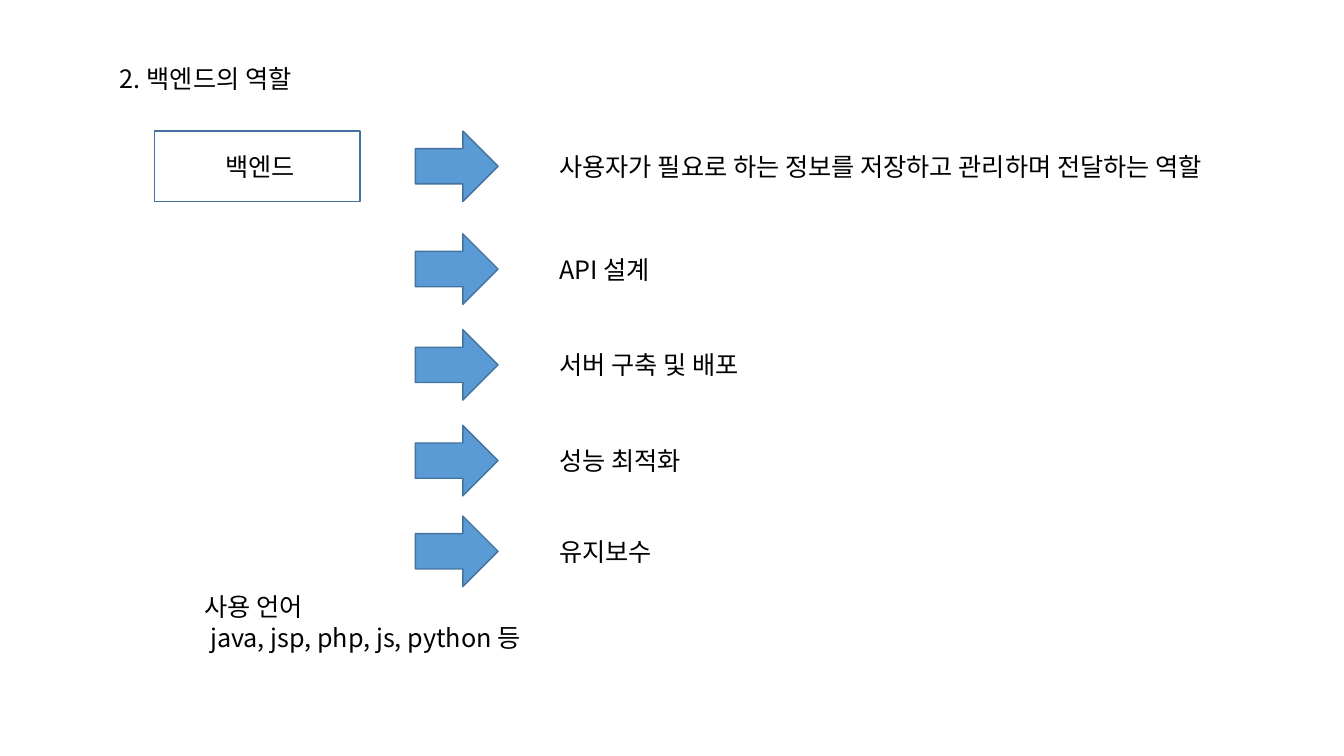
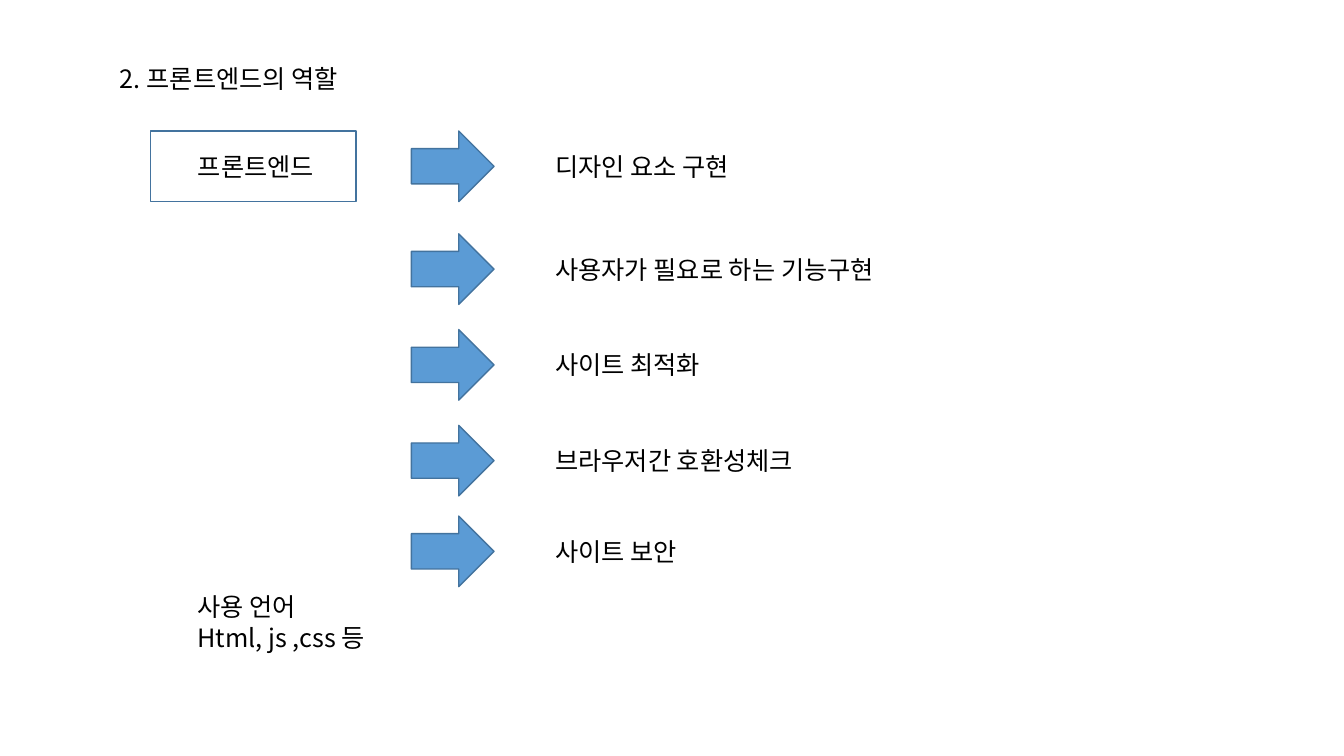
from dataclasses import dataclass

from lxml.etree import SubElement
from pptx import Presentation
from pptx.dml.color import RGBColor
from pptx.enum.shapes import MSO_SHAPE
from pptx.enum.text import MSO_ANCHOR, MSO_AUTO_SIZE, PP_ALIGN
from pptx.oxml.ns import qn
from pptx.util import Pt

PX = 9144
SLIDE_SIZE = (1333, 750)
TITLE_BOX = (109, 58, 875, 40)
ROLE_TOPS = (130, 232, 327, 422, 512)
LANGUAGES_TOP = 582


@dataclass(frozen=True)
class Theme:
    """Colours, font and sizes that the slides share."""
    text: RGBColor = RGBColor(0x00, 0x00, 0x00)
    arrow: RGBColor = RGBColor(0x5B, 0x9B, 0xD5)
    outline: RGBColor = RGBColor(0x43, 0x73, 0x9E)
    font: str = "Noto Sans CJK KR"
    size: Pt = Pt(18)
    line: Pt = Pt(1)


THEME = Theme()

SLIDES = (
    {
        "title": "2. 백엔드의 역할",
        "left": 153,
        "subject": " 백엔드",
        "roles": (
            ("사용자가 필요로 하는 정보를 저장하고 관리하며 전달하는 역할", 739),
            ("API 설계", 117),
            ("서버 구축 및 배포", 233),
            ("성능 최적화", 155),
            ("유지보수", 121),
        ),
        "languages_left": 193,
        "languages": ("사용 언어", " java, jsp, php, js, python 등"),
    },
    {
        "title": "2. 프론트엔드의 역할",
        "left": 149,
        "subject": " 프론트엔드",
        "roles": (
            ("디자인 요소 구현", 215),
            ("사용자가 필요로 하는 기능구현", 375),
            ("사이트 최적화", 181),
            ("브라우저간 호환성체크", 282),
            ("사이트 보안", 155),
        ),
        "languages_left": 186,
        "languages": ("사용 언어", "Html, js ,css 등"),
    },
)


def emu(box):
    """Turn px lengths into EMU."""
    return [v * PX for v in box]


def apply(target, values):
    """Set each attribute in values on target."""
    for name, value in values.items():
        setattr(target, name, value)


def write(tf, lines, align=PP_ALIGN.LEFT, **frame):
    """Write lines as paragraphs in the shared text style."""
    apply(tf, {"word_wrap": True, "vertical_anchor": MSO_ANCHOR.TOP, **frame})
    for i, line in enumerate(lines):
        p = tf.add_paragraph() if i else tf.paragraphs[0]
        p.alignment = align
        r = p.add_run()
        r.text = line
        apply(r.font, {"name": THEME.font, "size": THEME.size})
        r.font.color.rgb = THEME.text
        SubElement(r.font._element, qn("a:ea"), typeface=THEME.font)


def add_title(s, text, box):
    """Place and fill the title placeholder."""
    sp = s.shapes.title
    apply(sp, dict(zip(("left", "top", "width", "height"), emu(box))))
    write(sp.text_frame, [text], auto_size=MSO_AUTO_SIZE.NONE)


def add_text(s, lines, box, wrap=True):
    """Add a text box that grows with its text."""
    sp = s.shapes.add_textbox(*emu(box))
    write(sp.text_frame, lines, word_wrap=wrap,
          auto_size=MSO_AUTO_SIZE.SHAPE_TO_FIT_TEXT)


def add_outlined(s, kind, box, fill=None):
    """Add an outlined shape, filled when a colour is given."""
    sp = s.shapes.add_shape(kind, *emu(box))
    sp.shadow.inherit = False
    if fill is None:
        sp.fill.background()
    else:
        sp.fill.solid()
        sp.fill.fore_color.rgb = fill
    sp.line.color.rgb = THEME.outline
    sp.line.width = THEME.line
    return sp


def add_subject(s, text, left, top):
    """Add the box that names the subject."""
    sp = add_outlined(s, MSO_SHAPE.RECTANGLE, (left, top, 204, 70))
    write(sp.text_frame, [text], PP_ALIGN.CENTER,
          vertical_anchor=MSO_ANCHOR.MIDDLE)


def add_role(s, text, width, left, top):
    """Add an arrow with the role it points to."""
    add_outlined(s, MSO_SHAPE.RIGHT_ARROW, (left, top, 82, 70), THEME.arrow)
    add_text(s, [text], (left + 133, top + 15, width, 40), wrap=False)


def add_roles_slide(prs, title, left, subject, roles,
                    languages_left, languages):
    """Add a slide with a subject, its roles and its languages."""
    s = prs.slides.add_slide(prs.slide_layouts[5])
    add_title(s, title, TITLE_BOX)
    add_subject(s, subject, left, ROLE_TOPS[0])
    for (text, width), top in zip(roles, ROLE_TOPS):
        add_role(s, text, width, left + 259, top)
    add_text(s, languages, (languages_left, LANGUAGES_TOP, 1091, 71))


def main():
    """Build and save the presentation."""
    prs = Presentation()
    prs.slide_width, prs.slide_height = emu(SLIDE_SIZE)
    for content in SLIDES:
        add_roles_slide(prs, **content)
    prs.save("out.pptx")


if __name__ == "__main__":
    main()
